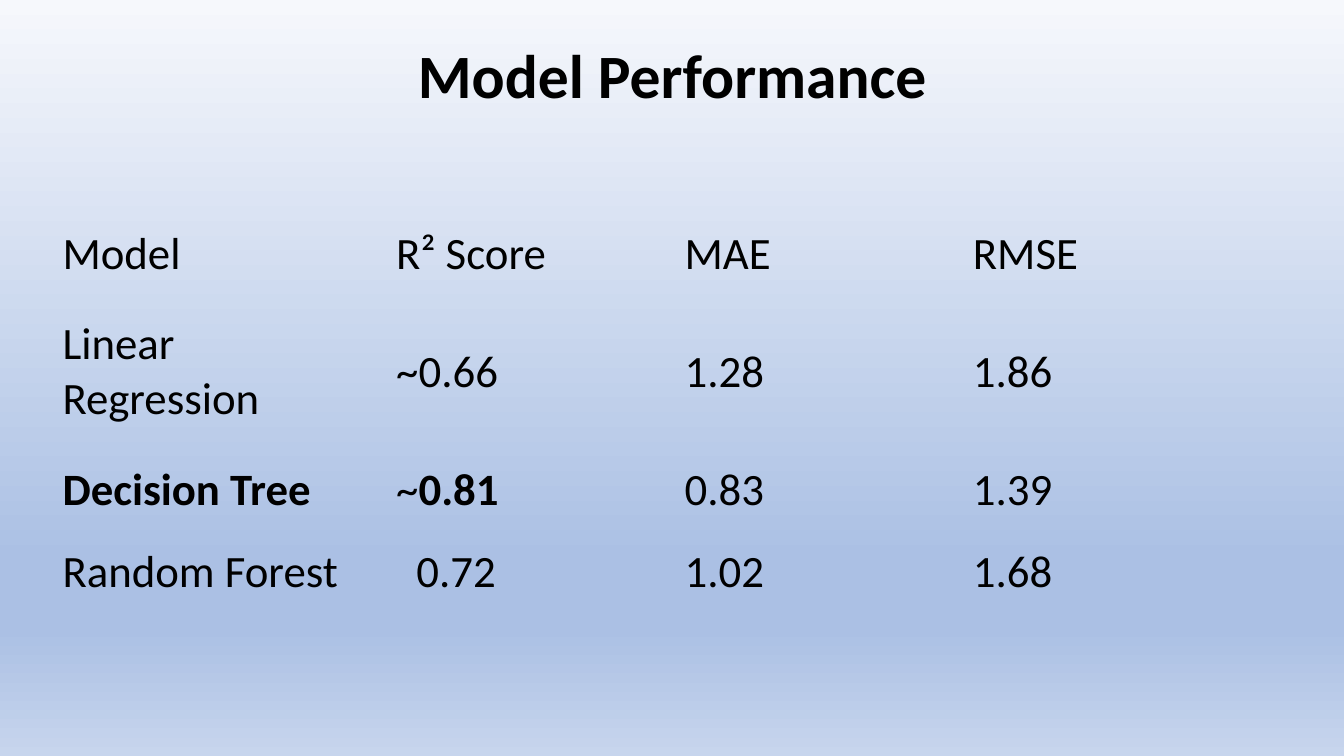
import copy
import pptx
import pptx.util
import pptx.dml.color
import pptx.enum.text

TITLE = "Model Performance"
ROWS = [
    ["Model", "R² Score", "MAE", "RMSE"],
    ["Linear Regression", "~0.66", "1.28", "1.86"],
    ["Decision Tree", "~0.81", "0.83", "1.39"],
    ["Random Forest", "0.72", "1.02", "1.68"],
    ["", "", "", ""],
]
BOLD = {(2, 0): "Decision Tree", (2, 1): "0.81"}
INDENT = {(3, 1): 20}
WIDTHS = [331, 286, 286, 286]
HEIGHTS = [82, 152, 82, 82, 82]
THEME = {
    "font": "Calibri",
    "ink": "000000",
    "title": 44,
    "body": 32,
    "back": [(0, "F6F8FC"), (74, "ABC0E4"), (83, "ABC0E4"), (100, "C7D5ED")],
    "plain": "{2D5ABB26-0587-4C30-8999-92F81FD0307C}",
}
SCALE = 9144
PAD = 10


def px(size):
    return pptx.util.Emu(size * SCALE)


def tint(code):
    return pptx.dml.color.RGBColor.from_string(code)


def style(run, size, bold):
    run.font.name = THEME["font"]
    run.font.size = pptx.util.Pt(size)
    run.font.bold = bold
    run.font.color.rgb = tint(THEME["ink"])


def paint(slide):
    fill = slide.background.fill
    fill.gradient()
    fill.gradient_angle = 270
    group = slide.background._cSld.xpath(".//a:gsLst")[0]
    for _ in range(len(THEME["back"]) - len(group)):
        group.append(copy.deepcopy(group[0]))
    for stop, (place, code) in zip(fill.gradient_stops, THEME["back"]):
        stop.position = place / 100
        stop.color.rgb = tint(code)


def head(slide):
    box = slide.shapes.title
    box.left, box.top, box.width, box.height = map(px, (92, 40, 1150, 145))
    frame = box.text_frame
    frame.text = TITLE
    frame.vertical_anchor = pptx.enum.text.MSO_ANCHOR.TOP
    line = frame.paragraphs[0]
    line.alignment = pptx.enum.text.PP_ALIGN.CENTER
    line.line_spacing = 0.9
    style(line.runs[0], THEME["title"], True)


def write(cell, text, bold, indent):
    cell.fill.background()
    cell.vertical_anchor = pptx.enum.text.MSO_ANCHOR.MIDDLE
    cell.margin_left = px(PAD + indent)
    line = cell.text_frame.paragraphs[0]
    for part in (text.removesuffix(bold), bold):
        if part:
            run = line.add_run()
            run.text = part
            style(run, THEME["body"], part == bold)


def grid(slide):
    frame = slide.shapes.add_table(
        len(ROWS), len(WIDTHS), px(52), px(211), px(sum(WIDTHS)), px(sum(HEIGHTS)))
    table = frame.table
    table.first_row = table.horz_banding = False
    frame.element.xpath(".//a:tableStyleId")[0].text = THEME["plain"]
    for col, wide in zip(table.columns, WIDTHS):
        col.width = px(wide)
    for row, high in zip(table.rows, HEIGHTS):
        row.height = px(high)
    for r, row in enumerate(ROWS):
        for c, text in enumerate(row):
            write(table.cell(r, c), text, BOLD.get((r, c), ""), INDENT.get((r, c), 0))


def main():
    deck = pptx.Presentation()
    deck.slide_width, deck.slide_height = px(1333), px(750)
    slide = deck.slides.add_slide(deck.slide_layouts[5])
    paint(slide)
    head(slide)
    grid(slide)
    deck.save("out.pptx")


if __name__ == "__main__":
    main()
